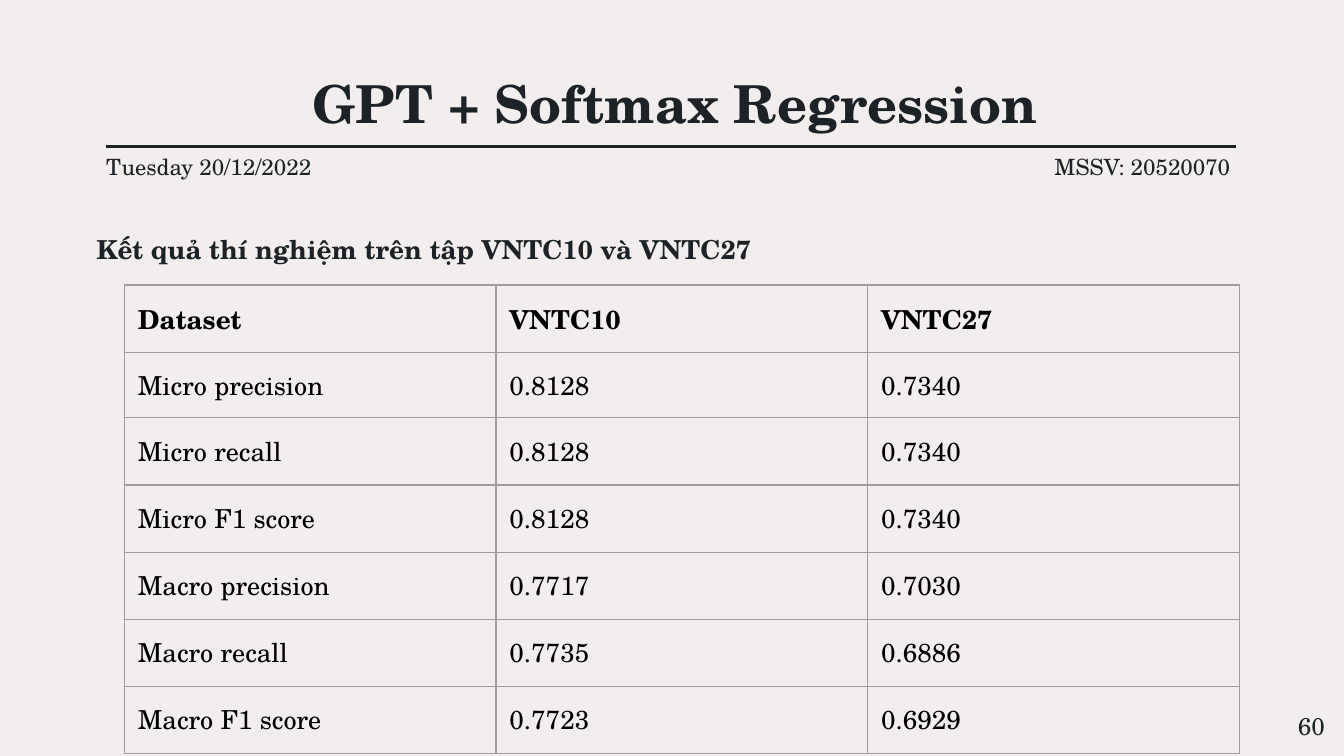
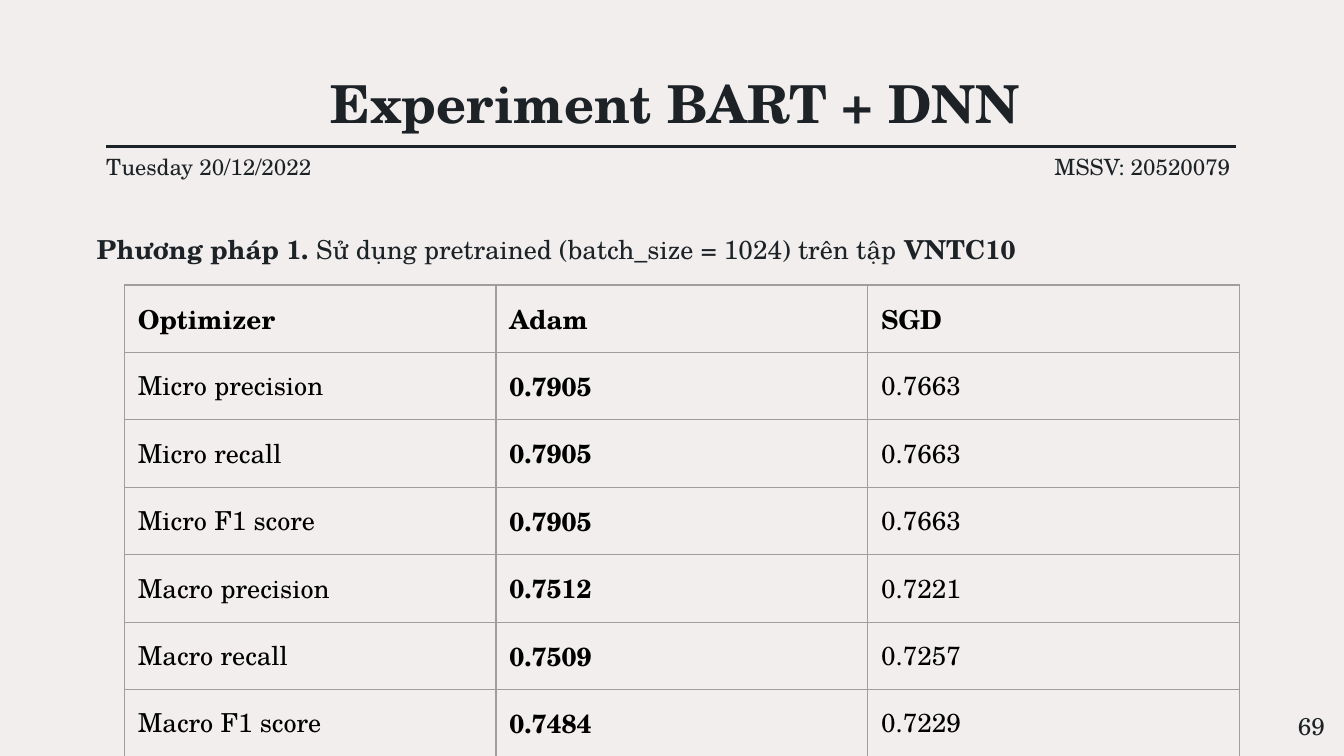
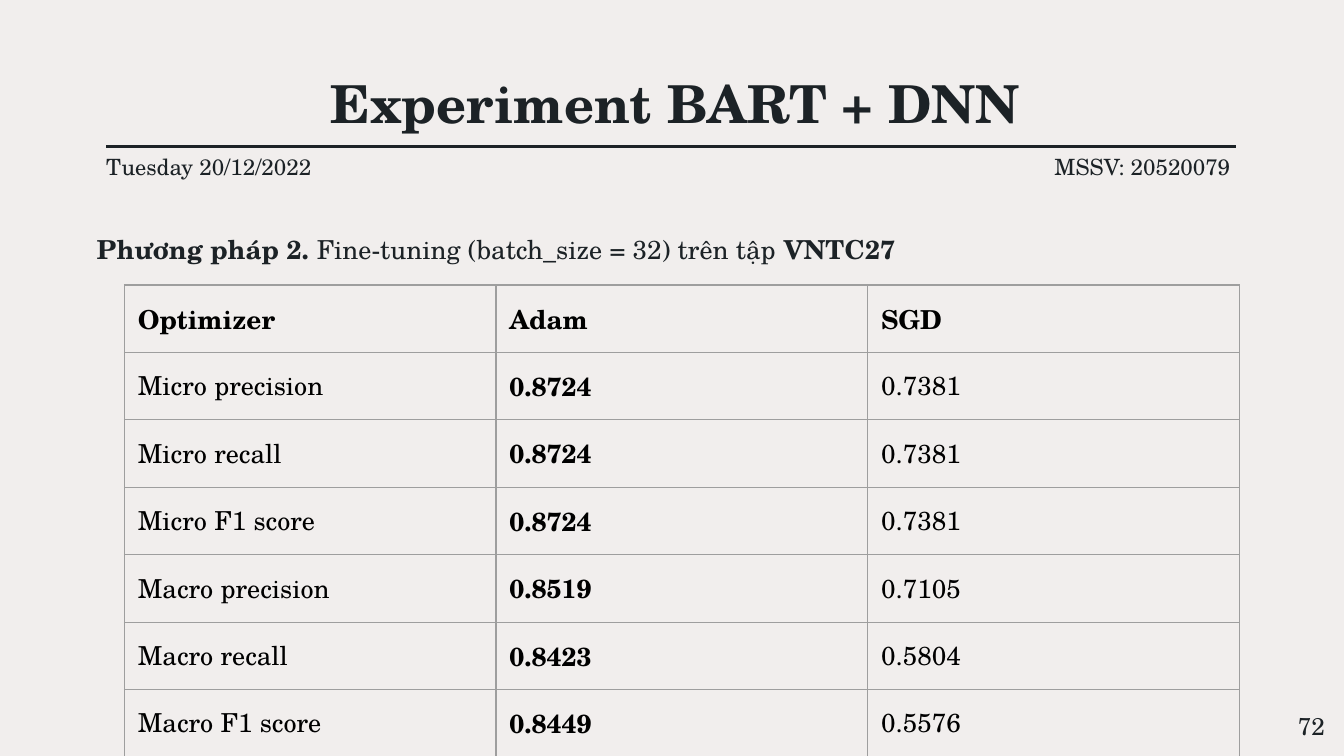
from dataclasses import dataclass
from typing import NamedTuple

from lxml import etree
from pptx import Presentation
from pptx.dml.color import RGBColor
from pptx.enum import shapes, text
from pptx.oxml import ns
from pptx.util import Emu, Pt

PX = 4572


def px(length: int) -> Emu:
    return Emu(length * PX)


@dataclass(frozen=True)
class Theme:
    font: str = "TeX Gyre Schola"
    paper: str = "F1EEED"
    ink: str = "1C2226"
    cell_ink: str = "000000"
    grid: str = "9E9E9E"
    title_size: int = 28
    body_size: int = 14
    number_size: int = 13
    label_size: int = 12
    rule_width: float = 1.5
    grid_width: float = 0.75
    inset: int = 20


THEME = Theme()


class Area(NamedTuple):
    left: int
    top: int
    width: int
    height: int


class Span(NamedTuple):
    text: str
    bold: bool = False


class Style(NamedTuple):
    size: int
    align: text.PP_ALIGN = text.PP_ALIGN.LEFT
    anchor: text.MSO_ANCHOR = text.MSO_ANCHOR.MIDDLE
    inset_x: int = THEME.inset
    inset_y: int = THEME.inset
    spacing: float = 1.0


@dataclass(frozen=True)
class Report:
    title: str
    student: str
    number: str
    heading: tuple[Span, ...]
    header: tuple[str, str, str]
    scores: tuple[tuple[str, str], ...]
    bold_column: int | None = None


SLIDE_WIDTH, SLIDE_HEIGHT = 2000, 1125
TITLE = Area(179, 107, 1650, 92)
DATE = Area(158, 229, 338, 38)
STUDENT = Area(1531, 229, 338, 38)
HEADING = Area(144, 311, 1720, 112)
NUMBER = Area(1871, 1039, 120, 86)
RULE_LEFT, RULE_RIGHT, RULE_TOP = 158, 1840, 218
TABLE_LEFT, TABLE_TOP, COLUMN_WIDTH = 185, 424, 553
ROW_HEIGHTS = (90, 94, 100, 100, 100, 100, 100)

TITLE_STYLE = Style(THEME.title_size, text.PP_ALIGN.CENTER)
DATE_STYLE = Style(THEME.label_size, inset_x=0)
STUDENT_STYLE = Style(THEME.label_size, text.PP_ALIGN.CENTER)
HEADING_STYLE = Style(THEME.body_size, inset_x=0, inset_y=0, spacing=1.15)
NUMBER_STYLE = Style(THEME.number_size, text.PP_ALIGN.RIGHT, text.MSO_ANCHOR.TOP)

METRICS = (
    "Micro precision", "Micro recall", "Micro F1 score",
    "Macro precision", "Macro recall", "Macro F1 score",
)

REPORTS = (
    Report(
        "GPT + Softmax Regression", "MSSV: 20520070", "60",
        (Span("Kết quả thí nghiệm trên tập VNTC10 và VNTC27", True),),
        ("Dataset", "VNTC10", "VNTC27"),
        (("0.8128", "0.7340"), ("0.8128", "0.7340"), ("0.8128", "0.7340"),
         ("0.7717", "0.7030"), ("0.7735", "0.6886"), ("0.7723", "0.6929")),
    ),
    Report(
        "Experiment BART + DNN", "MSSV: 20520079", "69",
        (Span("Phương pháp 1. ", True),
         Span("Sử dụng pretrained (batch_size = 1024) trên tập "),
         Span("VNTC10", True)),
        ("Optimizer", "Adam", "SGD"),
        (("0.7905", "0.7663"), ("0.7905", "0.7663"), ("0.7905", "0.7663"),
         ("0.7512", "0.7221"), ("0.7509", "0.7257"), ("0.7484", "0.7229")),
        bold_column=1,
    ),
    Report(
        "Experiment BART + DNN", "MSSV: 20520079", "72",
        (Span("Phương pháp 2. ", True),
         Span("Fine-tuning (batch_size = 32) trên tập "),
         Span("VNTC27", True)),
        ("Optimizer", "Adam", "SGD"),
        (("0.8724", "0.7381"), ("0.8724", "0.7381"), ("0.8724", "0.7381"),
         ("0.8519", "0.7105"), ("0.8423", "0.5804"), ("0.8449", "0.5576")),
        bold_column=1,
    ),
)


def set_font(para, size: int, color: str) -> None:
    para.font.name = THEME.font
    para.font.size = Pt(size)
    para.font.color.rgb = RGBColor.from_string(color)


def write(box, spans: tuple[Span, ...], style: Style) -> None:
    frame = box.text_frame
    frame.word_wrap = True
    frame.auto_size = text.MSO_AUTO_SIZE.NONE
    frame.vertical_anchor = style.anchor
    frame.margin_left = frame.margin_right = px(style.inset_x)
    frame.margin_top = frame.margin_bottom = px(style.inset_y)
    para = frame.paragraphs[0]
    para.alignment = style.align
    para.line_spacing = style.spacing
    set_font(para, style.size, THEME.ink)
    for span in spans:
        run = para.add_run()
        run.text = span.text
        run.font.bold = span.bold


def add_title(page, title: str) -> None:
    box = page.shapes.title
    box.left, box.top, box.width, box.height = map(px, TITLE)
    write(box, (Span(title, True),), TITLE_STYLE)


def add_label(page, area: Area, spans: tuple[Span, ...], style: Style) -> None:
    write(page.shapes.add_textbox(*map(px, area)), spans, style)


def add_rule(page) -> None:
    rule = page.shapes.add_connector(
        shapes.MSO_CONNECTOR.STRAIGHT,
        px(RULE_LEFT), px(RULE_TOP), px(RULE_RIGHT), px(RULE_TOP),
    )
    rule.line.color.rgb = RGBColor.from_string(THEME.ink)
    rule.line.width = Pt(THEME.rule_width)
    etree.SubElement(rule._element.spPr, ns.qn("a:effectLst"))


def add_borders(cell) -> None:
    properties = cell._tc.get_or_add_tcPr()
    for side in ("lnL", "lnR", "lnT", "lnB"):
        line = etree.SubElement(properties, ns.qn(f"a:{side}"), w=str(Pt(THEME.grid_width)))
        fill = etree.SubElement(line, ns.qn("a:solidFill"))
        etree.SubElement(fill, ns.qn("a:srgbClr"), val=THEME.grid)


def fill_cell(cell, value: str, bold: bool) -> None:
    add_borders(cell)
    cell.fill.background()
    cell.margin_left = cell.margin_right = px(THEME.inset)
    cell.margin_top = cell.margin_bottom = px(THEME.inset)
    para = cell.text_frame.paragraphs[0]
    para.text = value
    set_font(para, THEME.body_size, THEME.cell_ink)
    para.font.bold = bold


def add_scores(page, report: Report) -> None:
    rows = [report.header] + [
        (metric, *values) for metric, values in zip(METRICS, report.scores)
    ]
    columns = len(report.header)
    table = page.shapes.add_table(
        len(rows), columns, px(TABLE_LEFT), px(TABLE_TOP),
        px(COLUMN_WIDTH * columns), px(sum(ROW_HEIGHTS)),
    ).table
    table.first_row = table.horz_banding = False
    for column in table.columns:
        column.width = px(COLUMN_WIDTH)
    for row, (height, values) in enumerate(zip(ROW_HEIGHTS, rows)):
        table.rows[row].height = px(height)
        for column, value in enumerate(values):
            bold = row == 0 or column == report.bold_column
            fill_cell(table.cell(row, column), value, bold)


def add_report(deck, report: Report) -> None:
    page = deck.slides.add_slide(deck.slide_layouts.get_by_name("Title Only"))
    add_rule(page)
    add_title(page, report.title)
    add_label(page, DATE, (Span("Tuesday 20/12/2022"),), DATE_STYLE)
    add_label(page, HEADING, report.heading, HEADING_STYLE)
    add_scores(page, report)
    add_label(page, STUDENT, (Span(report.student),), STUDENT_STYLE)
    add_label(page, NUMBER, (Span(report.number),), NUMBER_STYLE)


def main() -> None:
    deck = Presentation()
    deck.slide_width, deck.slide_height = px(SLIDE_WIDTH), px(SLIDE_HEIGHT)
    paper = deck.slide_master.background.fill
    paper.solid()
    paper.fore_color.rgb = RGBColor.from_string(THEME.paper)
    for report in REPORTS:
        add_report(deck, report)
    deck.save("out.pptx")


if __name__ == "__main__":
    main()
